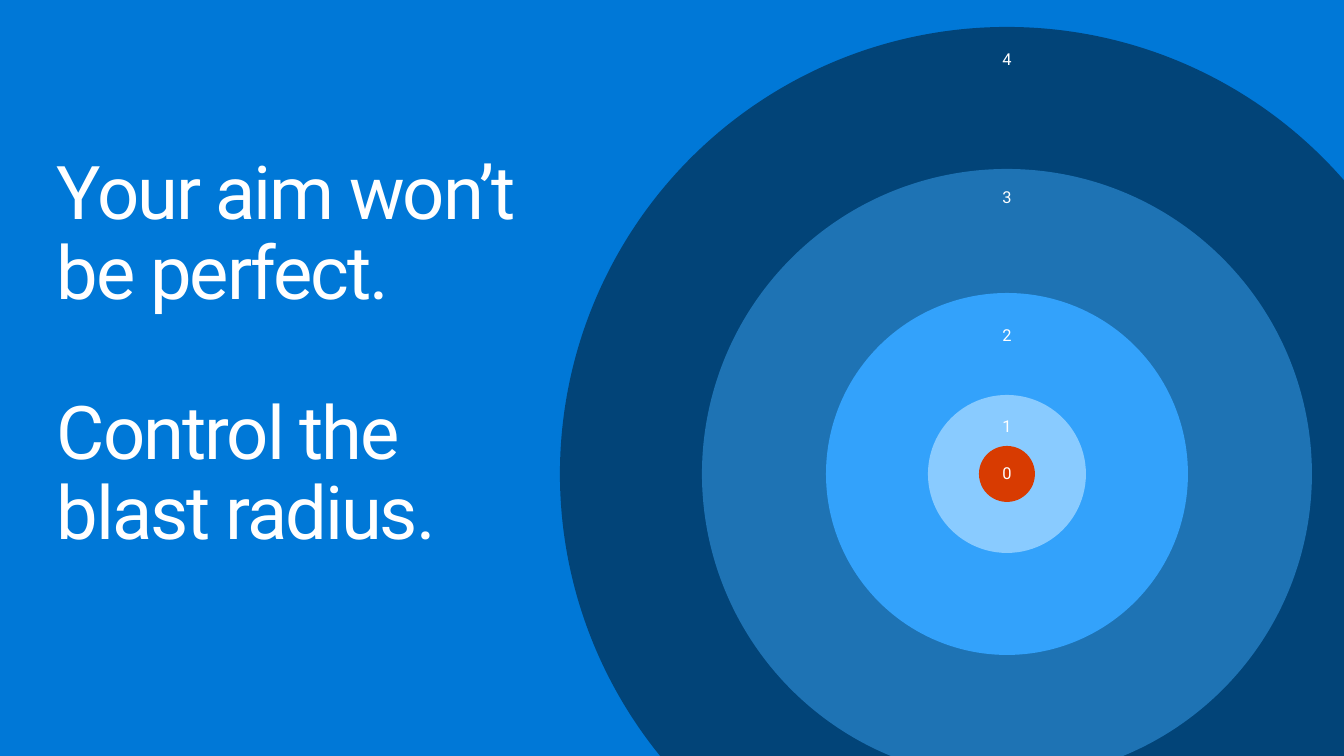
from dataclasses import dataclass

from pptx import Presentation
from pptx.dml.color import RGBColor
from pptx.enum.shapes import MSO_SHAPE
from pptx.enum.text import MSO_ANCHOR, PP_ALIGN
from pptx.shapes.autoshape import Shape
from pptx.slide import Slide
from pptx.text.text import TextFrame
from pptx.util import Inches, Pt

WIDTH, HEIGHT = 1344, 756
SCALE = Inches(10) / WIDTH


@dataclass(frozen=True)
class Theme:
    back: str = "0078D7"
    text: str = "FFFFFF"
    font: str = "Roboto"
    title: float = 39.7
    label: float = 8.8
    gap: float = 43
    after: float = 4.4


@dataclass(frozen=True)
class Ring:
    size: int
    fill: str
    label: str = ""
    anchor: MSO_ANCHOR = MSO_ANCHOR.TOP


@dataclass(frozen=True)
class Label:
    text: str
    top: int


THEME = Theme()
MID_X, MID_Y = 1007, 474
RINGS = [
    Ring(894, "024478"),
    Ring(610, "1E73B4"),
    Ring(362, "33A2FB"),
    Ring(158, "89CBFF", "1"),
    Ring(56, "D83B01", "0", MSO_ANCHOR.MIDDLE),
]
LABELS = [Label(str(4 - i), 42 + 138 * i) for i in range(3)]


def px(count: int) -> int:
    return round(count * SCALE)


def write(frame: TextFrame, *lines: str, size: float = THEME.label,
          align: PP_ALIGN = PP_ALIGN.CENTER, anchor: MSO_ANCHOR = MSO_ANCHOR.TOP,
          pad: tuple[int, int] = (0, 0), gap: float = 0, after: float = 0,
          track: int = 0) -> None:
    """Fill a frame, one paragraph a line; track is in hundredths of a point."""
    frame.word_wrap = True
    frame.vertical_anchor = anchor
    frame.margin_left = frame.margin_right = px(pad[0])
    frame.margin_top = frame.margin_bottom = px(pad[1])
    for i, line in enumerate(lines):
        para = frame.add_paragraph() if i else frame.paragraphs[0]
        para.alignment = align
        para.line_spacing = 0.9
        para.space_before = Pt(gap if i else 0)
        para.space_after = Pt(after)
        run = para.add_run()
        run.text = line
        run.font.size = Pt(size)
        run.font.name = THEME.font
        run.font.color.rgb = RGBColor.from_string(THEME.text)
        if track:
            run._r.get_or_add_rPr().set("spc", str(track))


def add_box(slide: Slide, left: int, top: int, width: int, height: int) -> Shape:
    return slide.shapes.add_textbox(px(left), px(top), px(width), px(height))


def add_ring(slide: Slide, ring: Ring) -> None:
    half = ring.size // 2
    disc = slide.shapes.add_shape(
        MSO_SHAPE.OVAL, px(MID_X - half), px(MID_Y - half),
        px(ring.size), px(ring.size))
    disc.shadow.inherit = False
    disc.fill.solid()
    disc.fill.fore_color.rgb = RGBColor.from_string(ring.fill)
    disc.line.fill.background()
    if ring.label:
        write(disc.text_frame, ring.label, anchor=ring.anchor)


def add_label(slide: Slide, label: Label) -> None:
    box = add_box(slide, MID_X - 28, label.top, 56, 50)
    write(box.text_frame, label.text, pad=(20, 16), after=THEME.after)


def main() -> None:
    deck = Presentation()
    deck.slide_width, deck.slide_height = px(WIDTH), px(HEIGHT)
    slide = deck.slides.add_slide(deck.slide_layouts[6])
    slide.background.fill.solid()
    slide.background.fill.fore_color.rgb = RGBColor.from_string(THEME.back)

    title = add_box(slide, 57, 155, 500, 500)
    write(title.text_frame, "Your aim won’t be perfect.", "Control the blast radius.",
          size=THEME.title, align=PP_ALIGN.LEFT, gap=THEME.gap, track=-110)
    for ring in RINGS:
        add_ring(slide, ring)
    for label in LABELS:
        add_label(slide, label)
    deck.save("out.pptx")


if __name__ == "__main__":
    main()
